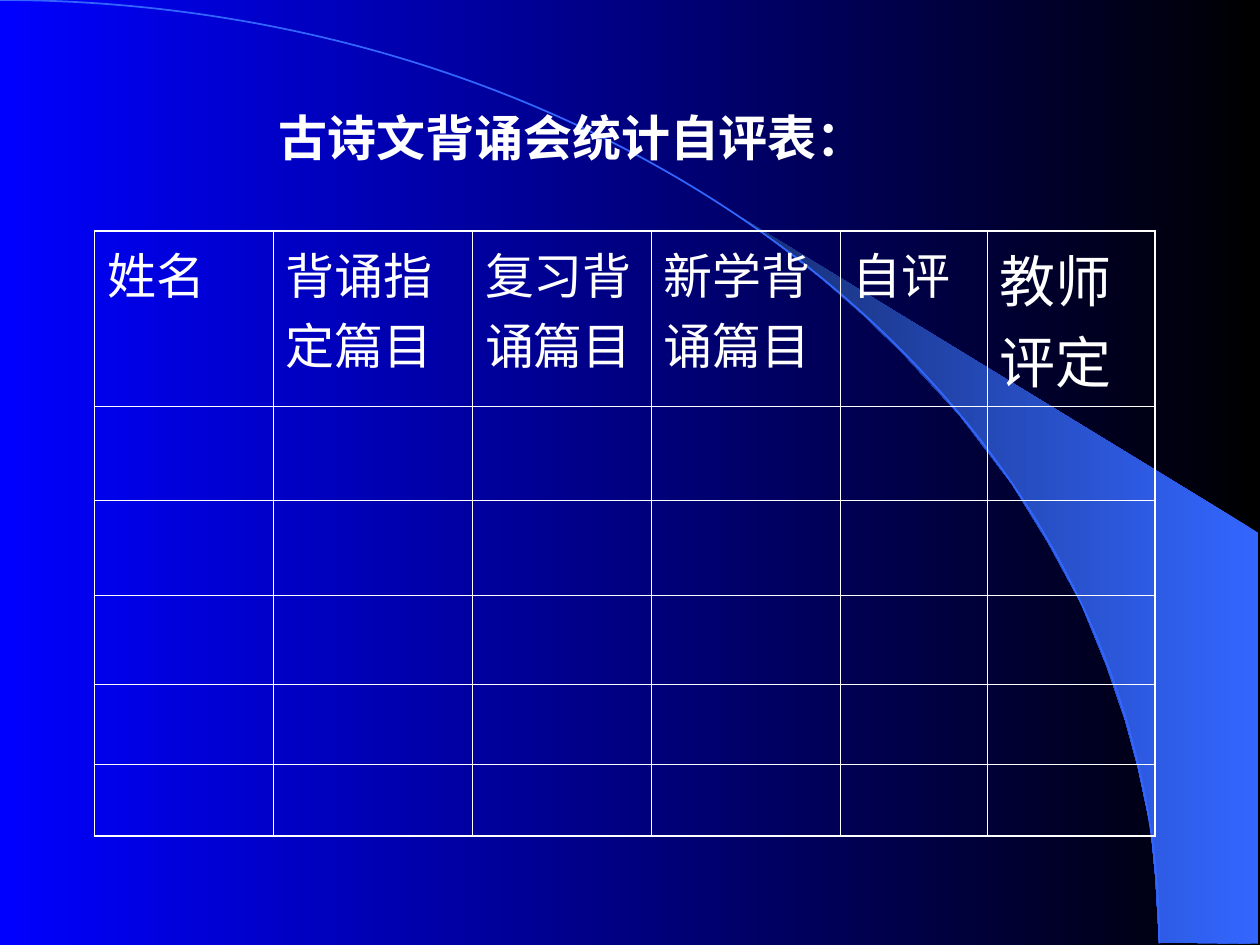
from dataclasses import dataclass

from lxml.etree import SubElement
from pptx import Presentation
from pptx.dml.color import RGBColor
from pptx.enum.shapes import MSO_SHAPE
from pptx.enum.text import MSO_ANCHOR, PP_ALIGN
from pptx.oxml.ns import qn
from pptx.util import Pt


@dataclass(frozen=True)
class Theme:
    night: str = "000000"
    blue: str = "0000FF"
    glow: str = "3366FF"
    shade: str = "172F75"
    white: str = "FFFFFF"
    title_font: str = "Arial"
    table_font: str = "Times New Roman"
    body: int = 28
    large: int = 32
    inner_line: float = 0.45
    outer_line: float = 1.08


THEME = Theme()
WIDTH, HEIGHT = 720, 540

COLUMN_WIDTHS = [102, 114, 102, 108, 84, 96]
ROW_HEIGHTS = [84, 54, 54, 51, 45.5, 41]
HEADINGS = ["姓名", "背诵指定篇目", "复习背诵篇目", "新学背诵篇目", "自评", "教师评定"]

# Outline of the light beam, in points on the slide
BEAM = [
    (662.4, 538.6), (719.3, 539.3), (719.3, 304.6), (424.1, 124.6),
    (449.3, 143.3), (470.2, 159.8), (493.2, 180), (515.5, 201.6),
    (548.6, 237.6), (578.2, 276.5), (599, 310.3), (617.8, 344.9),
    (632.2, 380.2), (643, 411.8), (650.2, 438.5), (657.4, 472.3),
    (660.2, 501.1),
]


def write_text(frame, text, size=THEME.body, font=THEME.table_font, bold=False,
               align=PP_ALIGN.LEFT, before=0):
    paragraph = frame.paragraphs[0]
    paragraph.alignment = align
    paragraph.space_before = Pt(before)
    run = paragraph.add_run()
    run.text = text
    run.font.size = Pt(size)
    run.font.name = font
    run.font.bold = bold
    run.font.color.rgb = RGBColor.from_string(THEME.white)


def fill_leftward(fill, right, left):
    """Fill with a gradient that runs from the right edge to the left one."""
    fill.gradient()
    fill.gradient_angle = 180
    for stop, color, position in zip(fill.gradient_stops, (right, left), (0, 1)):
        stop.color.rgb = RGBColor.from_string(color)
        stop.position = position


def draw_beam(slide, outline):
    builder = slide.shapes.build_freeform(
        Pt(outline[0][0]), Pt(outline[0][1]), scale=1.0)
    builder.add_line_segments([(Pt(x), Pt(y)) for x, y in outline[1:]], close=True)
    beam = builder.convert_to_shape()
    beam.shadow.inherit = False
    fill_leftward(beam.fill, THEME.glow, THEME.shade)
    beam.line.fill.background()


def draw_horizon(slide, left, top, width, height):
    """Draw the upper right quarter of the ellipse in the given box."""
    horizon = slide.shapes.add_shape(
        MSO_SHAPE.ARC, Pt(left), Pt(top), Pt(width), Pt(height))
    horizon.shadow.inherit = False
    horizon.fill.background()
    horizon.line.color.rgb = RGBColor.from_string(THEME.glow)
    horizon.line.width = Pt(1)


def set_borders(cell, outer_sides):
    properties = cell._tc.get_or_add_tcPr()
    for side in "LRTB":
        weight = THEME.outer_line if side in outer_sides else THEME.inner_line
        border = SubElement(properties, qn(f"a:ln{side}"), w=str(int(Pt(weight))))
        solid = SubElement(border, qn("a:solidFill"))
        SubElement(solid, qn("a:srgbClr"), val=THEME.white)


def draw_table(slide, left, top):
    row_count, column_count = len(ROW_HEIGHTS), len(COLUMN_WIDTHS)
    table = slide.shapes.add_table(
        row_count, column_count, Pt(left), Pt(top),
        Pt(sum(COLUMN_WIDTHS)), Pt(sum(ROW_HEIGHTS))).table
    table.first_row = table.horz_banding = False
    for column, width in zip(table.columns, COLUMN_WIDTHS):
        column.width = Pt(width)
    for row, height in zip(table.rows, ROW_HEIGHTS):
        row.height = Pt(height)
    for r in range(row_count):
        for c in range(column_count):
            edges = {"L": c == 0, "R": c == column_count - 1,
                     "T": r == 0, "B": r == row_count - 1}
            cell = table.cell(r, c)
            set_borders(cell, [side for side, outer in edges.items() if outer])
            cell.fill.background()
    for c, heading in enumerate(HEADINGS):
        size = THEME.large if c == column_count - 1 else THEME.body
        write_text(table.cell(0, c).text_frame, heading, size=size, before=size / 4)


def draw_title(slide, left, top, width, height):
    frame = slide.shapes.add_textbox(
        Pt(left), Pt(top), Pt(width), Pt(height)).text_frame
    frame.word_wrap = True
    frame.vertical_anchor = MSO_ANCHOR.MIDDLE
    write_text(frame, "古诗文背诵会统计自评表：", font=THEME.title_font,
               bold=True, align=PP_ALIGN.CENTER)


def main():
    deck = Presentation()
    deck.slide_width, deck.slide_height = Pt(WIDTH), Pt(HEIGHT)
    slide = deck.slides.add_slide(deck.slide_layouts[6])
    fill_leftward(slide.background.fill, THEME.night, THEME.blue)
    draw_beam(slide, BEAM)
    draw_horizon(slide, -662.4, 0, 1324.8, 1078)
    draw_table(slide, 54, 132)
    draw_title(slide, 144, 60, 366, 36)
    deck.save("out.pptx")


if __name__ == "__main__":
    main()
